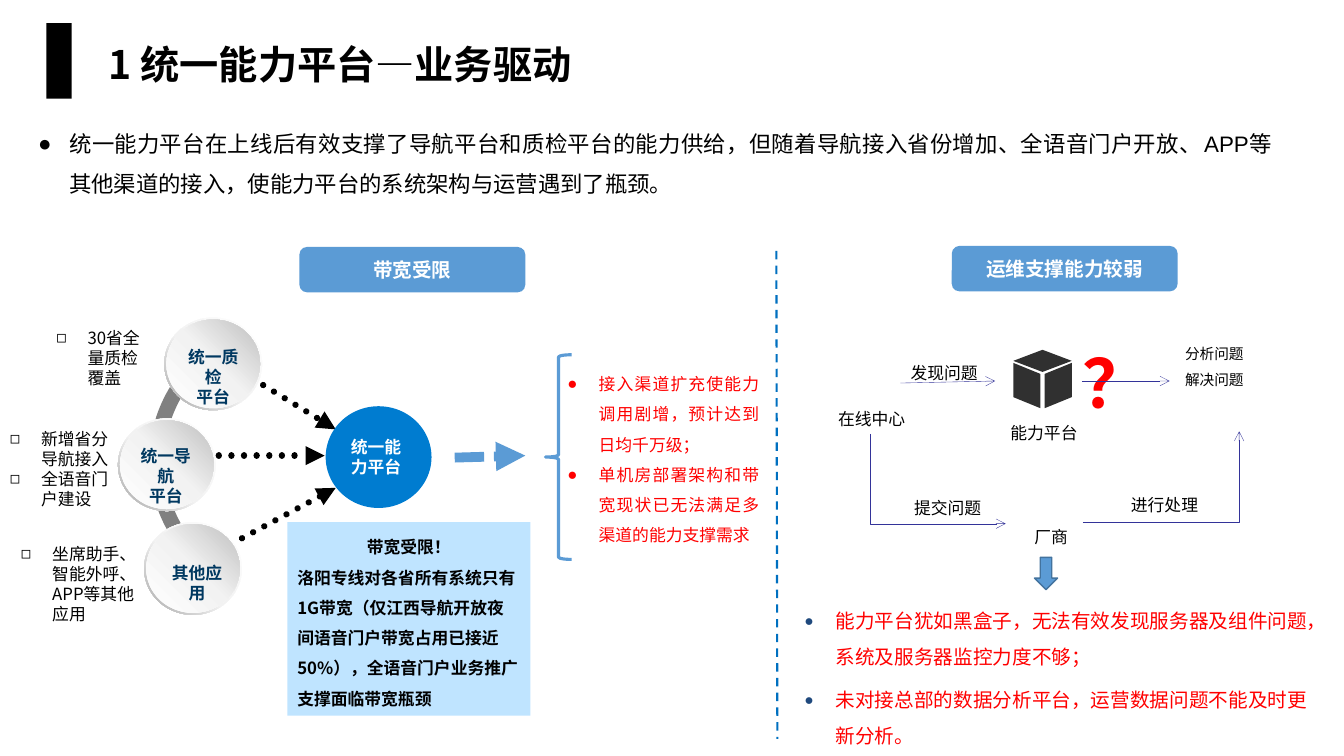
from dataclasses import dataclass
from typing import Any

from lxml import etree
from pptx import Presentation
from pptx.dml.color import RGBColor
from pptx.enum import dml, shapes, text
from pptx.oxml.ns import qn
from pptx.util import Inches, Pt

SANS = "Noto Sans CJK SC"
KIND = shapes.MSO_SHAPE
LEFT, CENTER, JUSTIFY = text.PP_ALIGN.LEFT, text.PP_ALIGN.CENTER, text.PP_ALIGN.JUSTIFY
RED, BLUE, NAVY = "FF0000", "5B9BD5", "333399"


def color(value):
    return RGBColor.from_string(value)


def add_bullet(paragraph, mark, mark_color=None, mark_size=None):
    props = paragraph._p.get_or_add_pPr()
    props.set("marL", str(Inches(0.31)))
    props.set("indent", str(-Inches(0.31)))
    if mark_color:
        etree.SubElement(etree.SubElement(props, qn("a:buClr")), qn("a:srgbClr"), val=mark_color)
    if mark_size:
        etree.SubElement(props, qn("a:buSzPct"), val=str(mark_size * 1000))
    etree.SubElement(props, qn("a:buFont"), typeface="Arial")
    etree.SubElement(props, qn("a:buChar"), char=mark)


def write(shape, lines, size, ink="000000", bold=False, align=LEFT, font=SANS, spacing=None,
          before=0, bullet=None, middle=False, inset=None):
    frame = shape.text_frame
    frame.text = "\n".join(lines)
    frame.word_wrap = True
    frame.vertical_anchor = text.MSO_ANCHOR.MIDDLE if middle else text.MSO_ANCHOR.TOP
    if inset is not None:
        frame.margin_left = frame.margin_right = Inches(inset)
        frame.margin_top = frame.margin_bottom = Inches(inset)
    for index, paragraph in enumerate(frame.paragraphs):
        if bullet:
            add_bullet(paragraph, *bullet)
        paragraph.alignment = align
        if spacing:
            paragraph.line_spacing = spacing
        if before and index:
            paragraph.space_before = Pt(before)
        for run in paragraph.runs:
            run.font.size = Pt(size)
            run.font.bold = bold
            run.font.name = font
            run.font.color.rgb = color(ink)
            etree.SubElement(run._r.get_or_add_rPr(), qn("a:ea"), typeface=SANS)


def paint(shape, fill=None, outline=None, width=1):
    shape.shadow.inherit = False
    if fill:
        shape.fill.solid()
        shape.fill.fore_color.rgb = color(fill)
    else:
        shape.fill.background()
    if outline:
        shape.line.color.rgb = color(outline)
        shape.line.width = Pt(width)
    else:
        shape.line.fill.background()


def paint_gradient(shape, stops, angle):
    paint(shape)
    shape.fill.gradient()
    gradient = shape._element.spPr.find(qn("a:gradFill"))
    for child in list(gradient):
        gradient.remove(child)
    stop_list = etree.SubElement(gradient, qn("a:gsLst"))
    for position, shade in stops:
        stop = etree.SubElement(stop_list, qn("a:gs"), pos=str(position * 1000))
        etree.SubElement(stop, qn("a:srgbClr"), val=shade)
    etree.SubElement(gradient, qn("a:lin"), ang=str(angle * 60000), scaled="0")


def bend(shape, first_controls):
    segments = list(shape._element.iter(qn("a:lnTo")))
    for first in first_controls:
        curve = etree.Element(qn("a:cubicBezTo"))
        segments[first].addprevious(curve)
        for segment in segments[first:first + 3]:
            curve.append(segment[0])
            segment.getparent().remove(segment)


@dataclass
class Region:
    slide: Any
    x: float
    y: float

    def place(self, x, y):
        return Inches(self.x + x), Inches(self.y + y)

    def shape(self, kind, x, y, w, h, **look):
        part = self.slide.shapes.add_shape(kind, *self.place(x, y), Inches(w), Inches(h))
        paint(part, **look)
        return part

    def words(self, x, y, w, h, lines, size, **style):
        box = self.slide.shapes.add_textbox(*self.place(x, y), Inches(w), Inches(h))
        write(box, lines, size, **style)

    def heading(self, x, y, title):
        tab = self.shape(KIND.ROUNDED_RECTANGLE, x, y, 2.24, 0.45, fill=BLUE)
        write(tab, [title], 14, ink="FFFFFF", bold=True, align=CENTER, middle=True)

    def line(self, start, end, ink, width, head=None, dash=None, cap=None, elbow=False, turn=0):
        kind = shapes.MSO_CONNECTOR.ELBOW if elbow else shapes.MSO_CONNECTOR.STRAIGHT
        link = self.slide.shapes.add_connector(kind, *self.place(*start), *self.place(*end))
        props = link._element.spPr
        link.line.color.rgb = color(ink)
        link.line.width = Pt(width)
        if dash:
            link.line.dash_style = dash
        stroke = props.find(qn("a:ln"))
        if cap:
            stroke.set("cap", cap)
        if head:
            etree.SubElement(stroke, qn("a:tailEnd"), type=head)
        if elbow:
            props.find(qn("a:prstGeom")).set("prst", "bentConnector2")
            props.find(qn("a:xfrm")).set("rot", str(turn * 60000))
        etree.SubElement(props, qn("a:effectLst"))

    def outline(self, contours, fill):
        builder = self.slide.shapes.build_freeform(*self.place(*contours[0][0]), scale=1.0)
        for number, points in enumerate(contours):
            if number:
                builder.move_to(*self.place(*points[0]))
            builder.add_line_segments([self.place(*p) for p in points[1:]], close=True)
        part = builder.convert_to_shape()
        paint(part, fill)
        return part


def build_header(area):
    area.shape(KIND.RECTANGLE, 0, 0, 0.25, 0.75, fill="000000")
    area.words(0.52, 0.01, 11.32, 0.85, ["1 统一能力平台—业务驱动"], 28, bold=True,
               spacing=0.9, middle=True)


def build_summary(area):
    area.words(0, 0, 12.43, 0.91, [
        "统一能力平台在上线后有效支撑了导航平台和质检平台的能力供给，但随着导航接入省份增加、全语音门户开放、APP等"
        "其他渠道的接入，使能力平台的系统架构与运营遇到了瓶颈。"],
        16, font="Arial", align=JUSTIFY, spacing=1.5, bullet=("●",))


def build_source_ball(area, x, y, label, label_x, label_y):
    ring = area.shape(KIND.DONUT, x, y, 0.97, 0.92)
    ring.adjustments[0] = 0.05
    paint_gradient(ring, [(0, "FFFFFF"), (55, "F2F2F2"), (100, "A6A6A6")], 135)
    ball = area.shape(KIND.OVAL, x + 0.02, y + 0.02, 0.93, 0.88)
    paint_gradient(ball, [(0, "FFFFFF"), (51, "F2F2F2"), (100, "BFBFBF")], 315)
    area.words(label_x, label_y, 0.79, 0.52, label, 12, ink="003860", bold=True, align=CENTER)


def build_bandwidth(area):
    area.heading(2.97, 0, "带宽受限")

    inner = [(2.33, 0.97), (1.91, 1.21), (1.63, 1.63), (1.63, 2.12),
             (1.63, 2.6), (1.9, 3.02), (2.3, 3.26)]
    outer = [(2.23, 3.38), (1.78, 3.12), (1.48, 2.66), (1.48, 2.12),
             (1.48, 1.58), (1.79, 1.11), (2.25, 0.85)]
    bend(area.outline([inner + outer], "808080"), [0, 3, 7, 10])

    for ball in [(1.63, 0.7, ["统一质检", "平台"], 1.72, 0.94),
                 (1.17, 1.7, ["统一导航", "平台"], 1.25, 1.92),
                 (1.43, 2.73, ["其他应用"], 1.56, 3.08)]:
        build_source_ball(area, *ball)
    for start, end in [((2.61, 1.37), (3.33, 1.81)), ((2.17, 2.07), (3.22, 2.07)),
                       ((2.4, 2.89), (3.33, 2.39))]:
        area.line(start, end, "000000", 4.5, "triangle", dml.MSO_LINE.ROUND_DOT, "rnd")
    area.shape(KIND.OVAL, 3.23, 1.58, 1.05, 1.01, fill="007CD0")
    area.words(3.48, 1.88, 0.63, 0.4, ["统一能力平台"], 12, ink="FFFFFF", bold=True, inset=0)

    for x, y, w, h, notes in [(0.46, 0.75, 1.15, 0.5, ["30省全量质检覆盖"]),
                              (0, 1.75, 1.2, 0.91, ["新增省分导航接入", "全语音门户建设"]),
                              (0.11, 2.89, 1.35, 0.91, ["坐席助手、智能外呼、APP等其他应用"])]:
        area.words(x, y, w, h, notes, 12, bullet=("◻",))

    limit = area.shape(KIND.RECTANGLE, 2.85, 2.73, 2.41, 1.92, fill="BFE4FF")
    write(limit, ["带宽受限！", "洛阳专线对各省所有系统只有1G带宽（仅江西导航开放夜间语音门户带宽占用已接近50%），"
                  "全语音门户业务推广支撑面临带宽瓶颈"], 12, bold=True, spacing=1.5)
    limit.text_frame.paragraphs[0].alignment = CENTER

    area.line((4.51, 2.09), (5.21, 2.07), BLUE, 7, "triangle", dml.MSO_LINE.SQUARE_DOT)
    area.words(5.53, 1.11, 2.1, 1.92, ["接入渠道扩充使能力调用剧增，预计达到日均千万级；",
                                       "单机房部署架构和带宽现状已无法满足多渠道的能力支撑需求"],
               12, ink=RED, font="Arial", align=JUSTIFY, spacing=1.5, bullet=("●",))
    area.shape(KIND.LEFT_BRACE, 5.41, 1.07, 0.26, 2.03, outline=BLUE, width=2.25)


def build_operations(area):
    area.line((0, 0.05), (0.01, 4.89), "0070C0", 1.5, dash=dml.MSO_LINE.DASH)
    area.heading(1.74, 0, "运维支撑能力较弱")
    area.words(2.91, 0.9, 0.91, 0.91, ["？"], 48, ink=RED, bold=True, align=CENTER)

    left, mid_left, middle, mid_right, right = 2.35, 2.62, 2.64, 2.66, 2.93
    area.outline([
        [(left, 1.5), (mid_left, 1.61), (mid_left, 1.27), (left, 1.16)],
        [(mid_right, 1.27), (right, 1.16), (right, 1.5), (mid_right, 1.61)],
        [(middle, 1.03), (right, 1.14), (middle, 1.25), (left, 1.14)]], "303030")

    for x, y, w, h, label, size in [(3.73, 0.92, 1.23, 0.56, ["分析问题", "解决问题"], 10.5),
                                    (3.31, 2.41, 1.08, 0.32, ["进行处理"], 12),
                                    (0.29, 1.55, 1.31, 0.32, ["在线中心"], 12),
                                    (1.05, 1.1, 1.23, 0.32, ["发现问题"], 12),
                                    (1.16, 2.44, 1.08, 0.32, ["提交问题"], 12),
                                    (2.02, 2.73, 1.41, 0.32, ["厂商"], 12),
                                    (2.04, 1.69, 1.23, 0.32, ["能力平台"], 12)]:
        step = area.shape(KIND.ROUNDED_RECTANGLE, x, y, w, h)
        step.adjustments[0] = 0.08
        write(step, label, size, align=CENTER, before=6, middle=True)

    area.line((3.03, 1.34), (3.9, 1.34), NAVY, 0.25, "arrow")
    area.line((1.23, 1.36), (2.17, 1.34), NAVY, 0.25, "arrow")
    area.line((2.05, 1.64), (1.16, 2.98), NAVY, 0.25, "arrow", elbow=True, turn=270)
    area.line((3.04, 2.74), (4.59, 1.84), NAVY, 0.25, "arrow", elbow=True)

    area.words(0.18, 3.44, 5.26, 1.6, ["能力平台犹如黑盒子，无法有效发现服务器及组件问题，系统及服务器监控力度不够；",
                                       "未对接总部的数据分析平台，运营数据问题不能及时更新分析。"],
               14, ink=RED, spacing=1.5, before=6, bullet=("●", "1F497D", 80))
    area.shape(KIND.DOWN_ARROW, 2.56, 3.09, 0.23, 0.32, fill=BLUE, outline="43739E")


def main():
    deck = Presentation()
    deck.slide_width, deck.slide_height = Inches(13.33), Inches(7.5)
    slide = deck.slides.add_slide(deck.slide_layouts[6])
    for build, x, y in [(build_header, 0.46, 0.23), (build_summary, 0.28, 1.11),
                        (build_bandwidth, 0, 2.45), (build_operations, 7.7, 2.44)]:
        build(Region(slide, x, y))
    deck.save("out.pptx")


if __name__ == "__main__":
    main()
